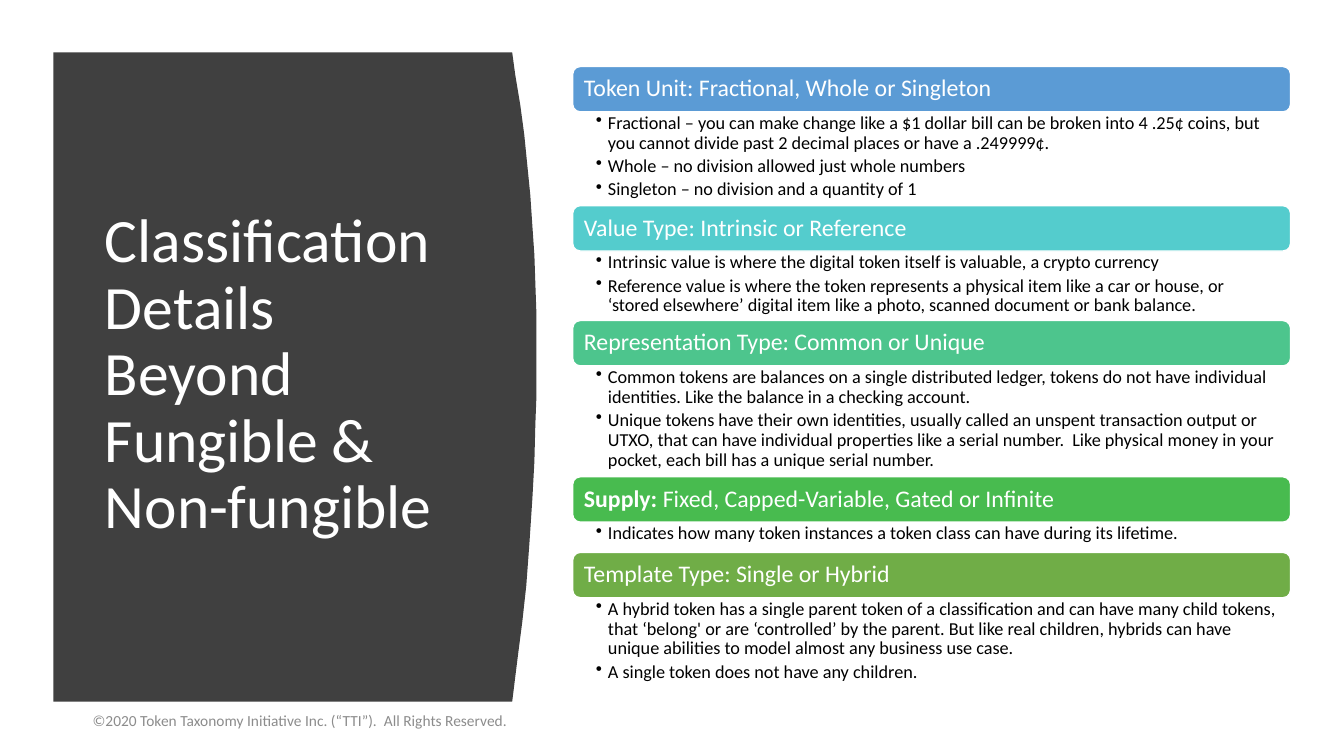
import pptx
import pptx.dml.color
import pptx.enum.shapes
import pptx.enum.text
import pptx.oxml
import pptx.util
from pptx.util import Inches

ANCHOR = pptx.enum.text.MSO_ANCHOR
NS = 'xmlns:a="http://schemas.openxmlformats.org/drawingml/2006/main"'


def rgb(value):
    return pptx.dml.color.RGBColor.from_string(value)


def style(p, size, color, after=0, spacing=0.9):
    p.alignment = pptx.enum.text.PP_ALIGN.LEFT
    p.line_spacing = spacing
    p.space_after = pptx.util.Pt(after)
    for r in p.runs:
        r.font.name = "Calibri"
        r.font.size = pptx.util.Pt(size)
        r.font.color.rgb = rgb(color)


sections = [
    (0.66, "5B9BD5", "", "Token Unit: Fractional, Whole or Singleton", [
        "Fractional – you can make change like a $1 dollar bill can be broken into 4 .25¢ coins, "
        "but you cannot divide past 2 decimal places or have a .249999¢.",
        "Whole – no division allowed just whole numbers",
        "Singleton – no division and a quantity of 1"]),
    (2.04, "54CCCD", "", "Value Type: Intrinsic or Reference", [
        "Intrinsic value is where the digital token itself is valuable, a crypto currency",
        "Reference value is where the token represents a physical item like a car or house, or "
        "‘stored elsewhere’ digital item like a photo, scanned document or bank balance."]),
    (3.18, "4DC58D", "", "Representation Type: Common or Unique", [
        "Common tokens are balances on a single distributed ledger, tokens do not have individual "
        "identities. Like the balance in a checking account.",
        "Unique tokens have their own identities, usually called an unspent transaction output or "
        "UTXO, that can have individual properties like a serial number.  Like physical money in "
        "your pocket, each bill has a unique serial number."]),
    (4.73, "48BB4F", "Supply: ", "Fixed, Capped-Variable, Gated or Infinite", [
        "Indicates how many token instances a token class can have during its lifetime."]),
    (5.48, "70AD47", "", "Template Type: Single or Hybrid", [
        "A hybrid token has a single parent token of a classification and can have many child "
        "tokens, that ‘belong' or are ‘controlled’ by the parent. But like real children, hybrids "
        "can have unique abilities to model almost any business use case.",
        "A single token does not have any children."]),
]
bottoms = [section[0] for section in sections[1:]] + [6.82]
left, width, bar_height = 5.68, 7.12, 0.45

prs = pptx.Presentation()
prs.slide_width = Inches(13.33)
prs.slide_height = Inches(7.5)
s = prs.slides.add_slide(prs.slide_layouts[5])

curve = [
    (5.08, 0.52), (5.11, 0.74), (5.16, 1.04), (5.2, 1.34), (5.23, 1.64), (5.26, 1.94),
    (5.28, 2.24), (5.3, 2.53), (5.31, 2.82), (5.32, 3.11), (5.32, 3.94), (5.31, 4.2),
    (5.3, 4.58), (5.28, 4.95), (5.25, 5.4), (5.22, 5.81), (5.18, 6.17), (5.14, 6.48),
    (5.11, 6.72), (5.08, 6.96), (0.53, 6.96),
]
builder = s.shapes.build_freeform(Inches(0.53), Inches(0.52))
builder.add_line_segments([(Inches(x), Inches(y)) for x, y in curve], close=True)
panel = builder.convert_to_shape()
panel.shadow.inherit = False
panel.fill.solid()
panel.fill.fore_color.rgb = rgb("404040")
panel.line.fill.background()

title = s.shapes.title
title.left, title.top = Inches(0.94), Inches(1.11)
title.width, title.height = Inches(3.74), Inches(5.24)
tf = title.text_frame
tf.text = "Classification Details Beyond Fungible & Non-fungible"
tf.word_wrap = True
tf.auto_size = pptx.enum.text.MSO_AUTO_SIZE.NONE
tf.vertical_anchor = ANCHOR.MIDDLE
style(tf.paragraphs[0], 44, "FFFFFF")
s.shapes._spTree.append(title._element)

sp = s.shapes.add_textbox(Inches(0.82), Inches(6.95), Inches(4.5), Inches(0.4))
tf = sp.text_frame
tf.word_wrap = True
tf.vertical_anchor = ANCHOR.MIDDLE
tf.text = "©2020 Token Taxonomy Initiative Inc. (“TTI”).  All Rights Reserved."
style(tf.paragraphs[0], 11, "8C8C8C", 6, 1.0)

for (top, color, lead, heading, items), bottom in zip(sections, bottoms):
    sp = s.shapes.add_shape(pptx.enum.shapes.MSO_SHAPE.ROUNDED_RECTANGLE,
                            Inches(left), Inches(top), Inches(width), Inches(bar_height))
    sp.shadow.inherit = False
    sp.fill.solid()
    sp.fill.fore_color.rgb = rgb(color)
    sp.line.color.rgb = rgb("FFFFFF")
    sp.line.width = pptx.util.Pt(1)
    tf = sp.text_frame
    tf.word_wrap = True
    tf.vertical_anchor = ANCHOR.MIDDLE
    tf.margin_left = tf.margin_right = Inches(0.09)
    p = tf.paragraphs[0]
    if lead:
        r = p.add_run()
        r.text = lead
        r.font.bold = True
    p.add_run().text = heading
    style(p, 17, "FFFFFF")

    list_top = top + bar_height
    sp = s.shapes.add_textbox(Inches(left), Inches(list_top),
                              Inches(width), Inches(bottom - list_top))
    tf = sp.text_frame
    tf.word_wrap = True
    tf.margin_left, tf.margin_right = Inches(0.23), Inches(0.13)
    tf.margin_top = tf.margin_bottom = Inches(0.02)
    tf.text = "\n".join(items)
    for p in tf.paragraphs:
        pPr = p._p.get_or_add_pPr()
        pPr.set("marL", str(Inches(0.12)))
        pPr.set("indent", str(-Inches(0.12)))
        pPr.append(pptx.oxml.parse_xml(f'<a:buChar {NS} char="•"/>'))
        style(p, 13, "000000", 2.6)

prs.save("out.pptx")
